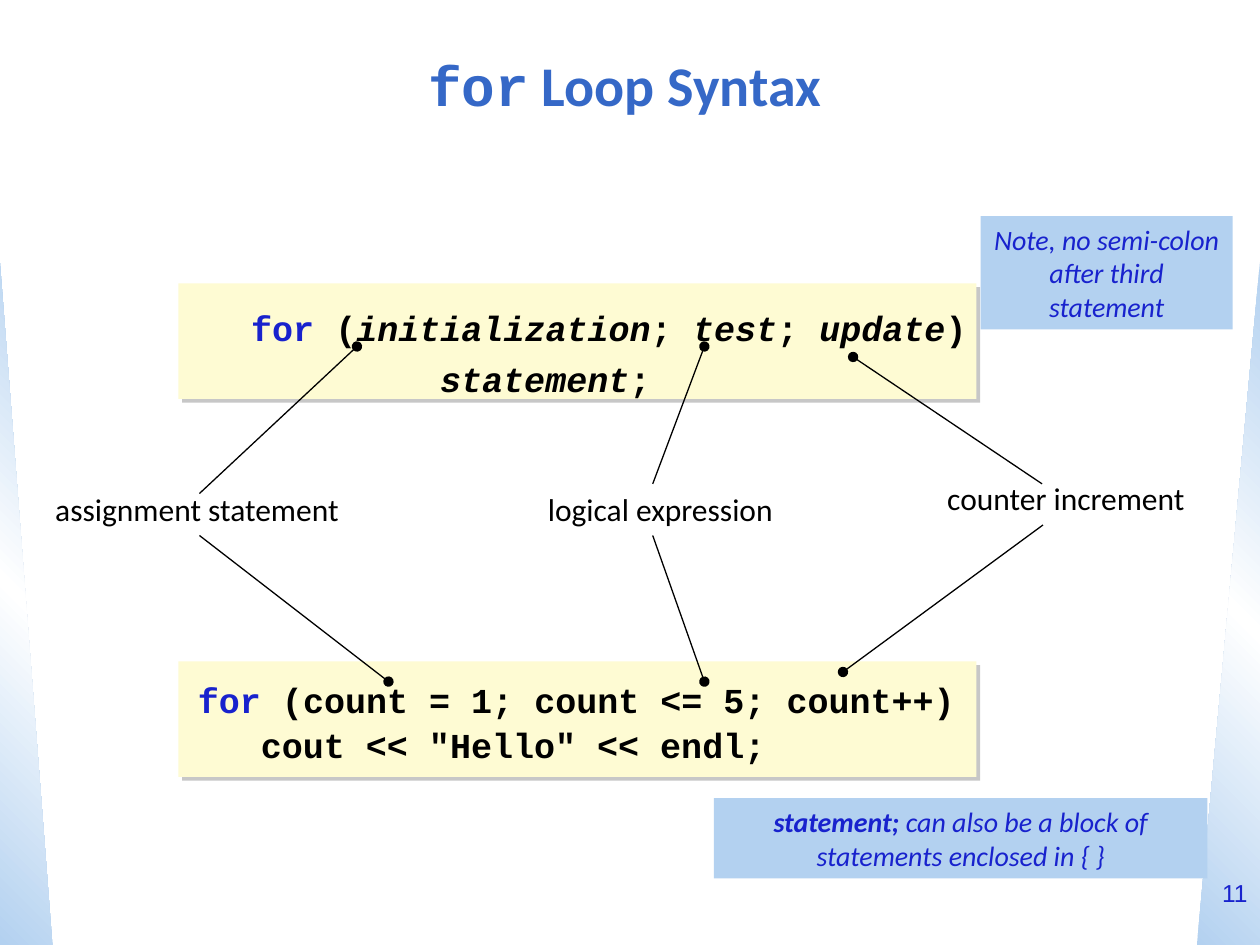
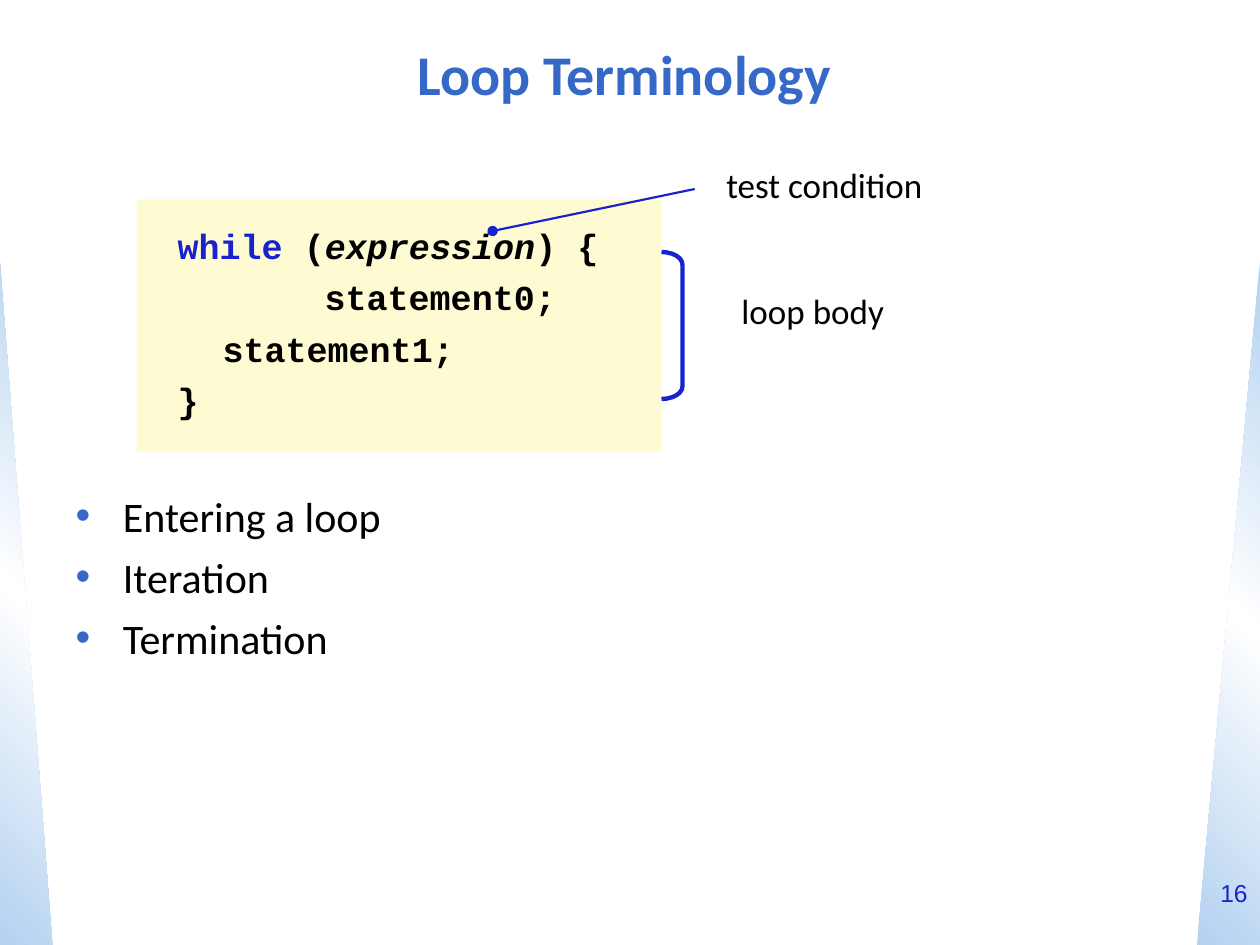
"""Build two slides on loop syntax and loop terminology."""
from dataclasses import dataclass

from lxml import etree
from pptx import Presentation
from pptx.dml.color import RGBColor
from pptx.enum import shapes, text
from pptx.oxml import ns
from pptx.util import Pt


@dataclass(frozen=True)
class Theme:
    """Colours, fonts and type sizes shared by the slides."""
    title: str = "3568C7"
    accent: str = "1822CD"
    ink: str = "000000"
    code_fill: str = "FEFBD3"
    pale: str = "B3D1F0"
    white: str = "FFFFFF"
    shade: str = "808080"
    sans: str = "Calibri"
    mono: str = "Courier New"
    number: str = "Arial"
    title_size: int = 32
    list_size: int = 24
    code_size: int = 20
    label_size: int = 18
    note_size: int = 16
    number_size: int = 14


THEME = Theme()
KEYWORD = {"color": THEME.accent}
ITALIC = {"italic": True}
CODE = {"font": THEME.mono, "size": THEME.code_size, "bold": True, "bullet": None}


def sub(parent, tag, **attributes):
    """Append a drawing element with its attributes."""
    child = etree.SubElement(parent, ns.qn(f"a:{tag}"))
    for key, value in attributes.items():
        child.set(key, str(value))
    return child


def write(frame, content, font=THEME.sans, size=THEME.label_size, color=THEME.ink,
          bold=False, italic=False, align=None, before=0, line=None, indent=None,
          bullet=""):
    """Add one paragraph made of plain text or of (text, changes) runs."""
    first = frame.paragraphs[0]
    paragraph = frame.add_paragraph() if first.runs else first
    paragraph.alignment = align
    paragraph.space_before = Pt(before)
    if line:
        paragraph.line_spacing = Pt(line)
    properties = paragraph._p.get_or_add_pPr()
    if indent is not None:
        properties.set("marL", str(Pt(indent)))
        properties.set("indent", "0")
    if bullet is None:
        sub(properties, "buNone")
    elif bullet:
        sub(sub(properties, "buClr"), "srgbClr", val=THEME.title)
        sub(properties, "buFont", typeface=THEME.number)
        sub(properties, "buChar", char=bullet)
    base = {"font": font, "color": color, "bold": bold, "italic": italic}
    for words, changes in [(content, {})] if isinstance(content, str) else content:
        look = {**base, **changes}
        run = paragraph.add_run()
        run.text = words
        run.font.name = look["font"]
        run.font.size = Pt(size)
        run.font.color.rgb = RGBColor.from_string(look["color"])
        run.font.bold, run.font.italic = look["bold"], look["italic"]


def add_box(slide, left, top, width, height, fill):
    """Add a plain filled rectangle."""
    box = slide.shapes.add_shape(shapes.MSO_SHAPE.RECTANGLE,
                                 Pt(left), Pt(top), Pt(width), Pt(height))
    box.shadow.inherit = False
    box.fill.solid()
    box.fill.fore_color.rgb = RGBColor.from_string(fill)
    box.line.fill.background()
    return box


def add_shadowed_box(slide, *place):
    """Add a code panel with a hard offset shadow."""
    panel = add_box(slide, *place, THEME.code_fill)
    effects = panel._element.spPr.find(ns.qn("a:effectLst"))
    shadow = sub(effects, "outerShdw", blurRad=0, dist=Pt(3), dir=45 * 60000,
                 algn="ctr", rotWithShape=0)
    sub(sub(shadow, "srgbClr", val=THEME.shade), "alpha", val=43000)


def add_note(slide, content, *place):
    """Add a pale blue remark with centred italic text."""
    frame = add_box(slide, *place, THEME.pale).text_frame
    frame.word_wrap = True
    write(frame, content, size=THEME.note_size, color=THEME.accent, italic=True,
          align=text.PP_ALIGN.CENTER)


def add_text_box(slide, left, top, width, height, wrap=False):
    """Add an empty text box and return its frame."""
    frame = slide.shapes.add_textbox(Pt(left), Pt(top), Pt(width), Pt(height)).text_frame
    frame.word_wrap = wrap
    return frame


def add_pointer(slide, start, end, color=THEME.ink, weight=0.75):
    """Add a line that ends in a dot."""
    pointer = slide.shapes.add_connector(shapes.MSO_CONNECTOR.STRAIGHT,
                                         *map(Pt, (*start, *end)))
    pointer.line.color.rgb = RGBColor.from_string(color)
    pointer.line.width = Pt(weight)
    sub(pointer.line._ln, "tailEnd", type="oval")
    sub(pointer._element.spPr, "effectLst")


def add_side_wedge(slide, master, left, width, angle, flipped=False):
    """Put a gradient wedge at a lower corner of the master."""
    wedge = slide.shapes.add_shape(shapes.MSO_SHAPE.RIGHT_TRIANGLE,
                                   Pt(left), Pt(150), Pt(width), Pt(390))
    wedge.shadow.inherit = False
    wedge.line.fill.background()
    properties = wedge._element.spPr
    if flipped:
        properties.find(ns.qn("a:xfrm")).set("flipH", "1")
    gradient = etree.Element(ns.qn("a:gradFill"), rotWithShape="1")
    stops = sub(gradient, "gsLst")
    for position, color in ((0, THEME.pale), (50, THEME.white), (100, THEME.pale)):
        sub(sub(stops, "gs", pos=position * 1000), "srgbClr", val=color)
    sub(gradient, "lin", ang=angle * 60000, scaled=1)
    properties.find(ns.qn("a:prstGeom")).addnext(gradient)
    master.shapes._spTree.insert(2, wedge._element)


def place_frame(holder, left, top, width, height, margin_top=3.6):
    """Move a placeholder and return its frame at a fixed type size."""
    holder.left, holder.top = Pt(left), Pt(top)
    holder.width, holder.height = Pt(width), Pt(height)
    frame = holder.text_frame
    frame.auto_size = text.MSO_AUTO_SIZE.NONE
    frame.margin_top = Pt(margin_top)
    return frame


def start_slide(deck, title, title_top, number):
    """Add a slide with its title and page number."""
    slide = deck.slides.add_slide(deck.slide_layouts[1])
    frame = place_frame(slide.shapes.title, 18, title_top, 678, 60)
    frame.vertical_anchor = text.MSO_ANCHOR.MIDDLE
    write(frame, title, size=THEME.title_size, color=THEME.title, bold=True,
          align=text.PP_ALIGN.CENTER)
    write(add_text_box(slide, 684, 498, 36, 42, wrap=True), number, font=THEME.number,
          size=THEME.number_size, color=THEME.accent, align=text.PP_ALIGN.RIGHT)
    return slide


def raise_body(slide, *place):
    """Bring the body placeholder to the front and return its frame."""
    body = slide.placeholders[1]
    slide.shapes._spTree.append(body._element)
    return place_frame(body, *place)


def write_code(frame, lines, line=24.4):
    """Write code lines given as (indent, content)."""
    for index, (indent, content) in enumerate(lines):
        write(frame, content, indent=indent, line=line, before=5 if index else 0, **CODE)


def fill_syntax(slide):
    """Show the parts of a for loop beside an example."""
    for top in (378, 162):
        add_shadowed_box(slide, 102, top, 456, 66)
    write_code(add_text_box(slide, 106, 387.5, 460, 53, wrap=True), [
        (0, [("for", KEYWORD), (" (count = 1; count <= 5; count++)", {})]),
        (36, 'cout << "Hello" << endl;'),
    ], line=20.7)
    parts = [
        ("assignment statement", (24.5, 276.5, 204.5),
         ((114, 282), (204, 198)), ((114, 306), (222, 389.5))),
        ("logical expression", (306, 276.5, 165.6),
         ((373, 276.5), (402.5, 198)), ((373, 306), (402.5, 389.5))),
        ("counter increment", (534.2, 270, 171.4),
         ((595.5, 276.5), (487.5, 204)), ((596, 300), (481.7, 384))),
    ]
    for label, place, *pointers in parts:
        write(add_text_box(slide, *place, 29), label)
        for start, end in pointers:
            add_pointer(slide, start, end)
    add_note(slide, "Note, no semi-colon after third statement", 560.4, 123.5, 144, 64.8)
    add_note(slide, [("statement; ", {"bold": True}),
                     ("can also be a block of statements enclosed in { }", {})],
             408, 456, 282, 46)
    write_code(raise_body(slide, 78, 138, 630, 324, 36.5), [
        (58.3, [("for ", KEYWORD), ("(", {}), ("initialization", ITALIC), ("; ", {}),
                ("test", ITALIC), ("; ", {}), ("update", ITALIC), (")", {})]),
        (166.3, [("statement", ITALIC), (";", {})]),
    ])


def fill_terminology(slide):
    """Name the parts of a while loop and list its stages."""
    add_box(slide, 78, 114, 300, 144, THEME.code_fill)
    add_pointer(slide, (397, 108), (281.5, 132), THEME.accent, 1.25)
    bracket = slide.shapes.add_shape(shapes.MSO_SHAPE.RIGHT_BRACKET,
                                     Pt(378), Pt(144), Pt(12), Pt(84))
    bracket.adjustments[0] = 0.6
    bracket.shadow.inherit = False
    bracket.fill.background()
    bracket.line.color.rgb = RGBColor.from_string(THEME.accent)
    bracket.line.width = Pt(2.5)
    for label, left, top, width in (("test condition", 408, 90, 127),
                                    ("loop body", 416.6, 162, 96)):
        write(add_text_box(slide, left, top, width, 31.5), label, size=THEME.code_size)
    body = raise_body(slide, 36, 96, 648, 402, 31.8)
    write_code(body, [
        (58.3, [("while", KEYWORD), (" (", {}), ("expression", ITALIC), (") {", {})]),
        (142.3, "statement0;"),
        (84, "statement1;"),
        (58.3, "}"),
    ])
    for index, stage in enumerate(("Entering a loop", "Iteration", "Termination")):
        write(body, stage, size=THEME.list_size, before=6 if index else 39.7, bullet="•")


def main():
    """Build and save the deck."""
    deck = Presentation()
    deck.slide_width, deck.slide_height = Pt(720), Pt(540)
    syntax = start_slide(deck, [("for", {"font": THEME.mono}), (" Loop Syntax", {})],
                         18, "11")
    add_side_wedge(syntax, deck.slide_master, 0, 30, 315)
    add_side_wedge(syntax, deck.slide_master, 684, 36, 45, flipped=True)
    fill_syntax(syntax)
    fill_terminology(start_slide(deck, "Loop Terminology", 12, "16"))
    deck.save("out.pptx")


if __name__ == "__main__":
    main()
